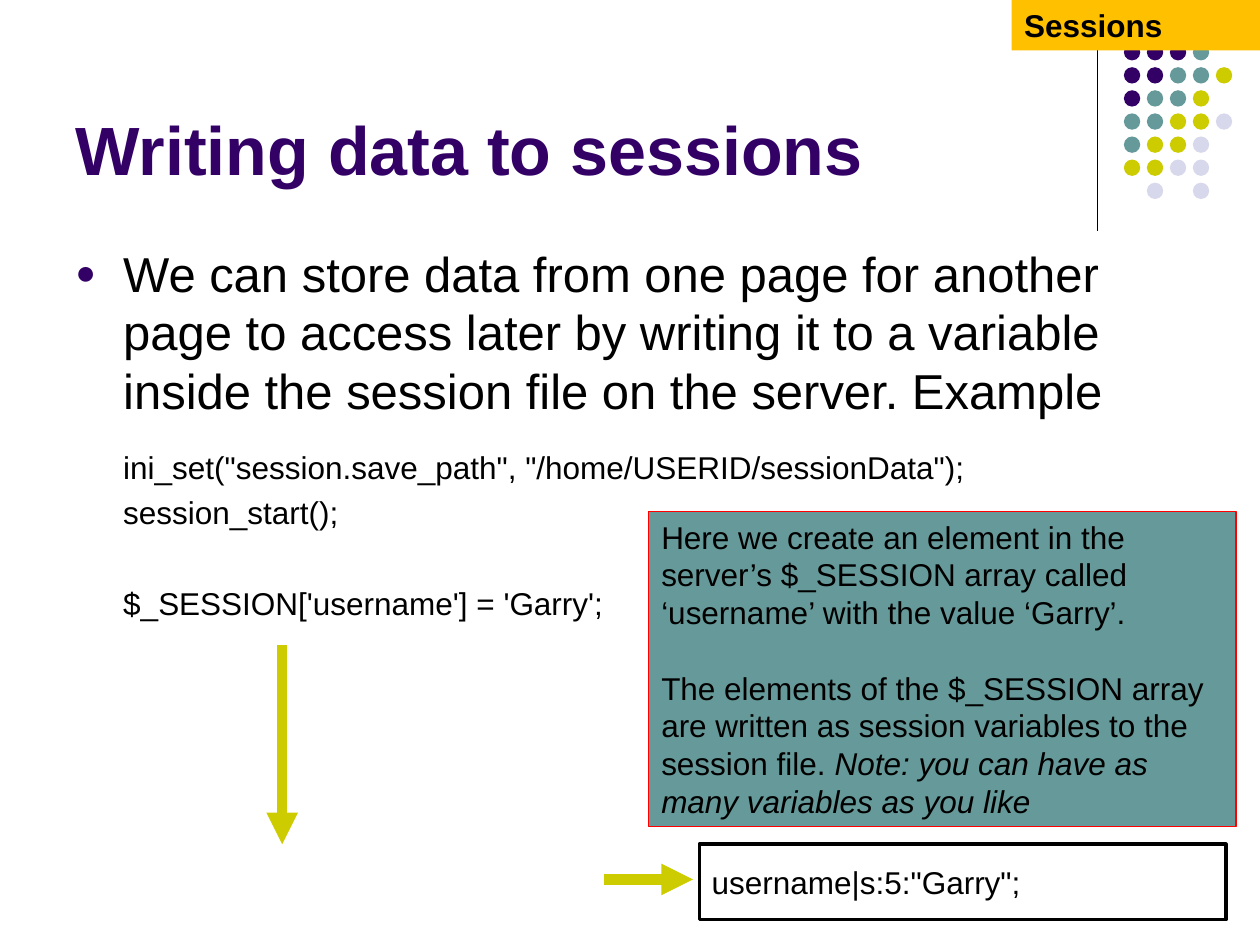
from dataclasses import dataclass
from typing import Optional

from lxml import etree
from pptx import Presentation
from pptx.dml.color import RGBColor
from pptx.enum.shapes import MSO_CONNECTOR, MSO_SHAPE
from pptx.enum.text import MSO_ANCHOR, PP_ALIGN
from pptx.oxml.ns import qn
from pptx.util import Inches, Pt

STRAIGHT = MSO_CONNECTOR.STRAIGHT
RECTANGLE, OVAL = MSO_SHAPE.RECTANGLE, MSO_SHAPE.OVAL
TOP, MIDDLE, BOTTOM = MSO_ANCHOR.TOP, MSO_ANCHOR.MIDDLE, MSO_ANCHOR.BOTTOM
LEFT = PP_ALIGN.LEFT

BLACK = RGBColor(0x00, 0x00, 0x00)
WHITE = RGBColor(0xFF, 0xFF, 0xFF)
PURPLE = RGBColor(0x33, 0x00, 0x66)
TEAL = RGBColor(0x66, 0x99, 0x99)
OLIVE = RGBColor(0xCC, 0xCC, 0x00)
LAVENDER = RGBColor(0xD8, 0xD8, 0xEC)
RED = RGBColor(0xFF, 0x00, 0x00)
AMBER = RGBColor(0xFF, 0xC0, 0x00)

FONT = "Arial"
BODY_INDENT = 0.38

# Dot pattern: one letter per dot, a full stop for a gap
DOT_COLORS = {"P": PURPLE, "T": TEAL, "O": OLIVE, "L": LAVENDER}
DOT_ROWS = ["PPPT.", "PPTTO", "PTTO.", "TTOOL", "TOOL.", "OOLL.", ".L.L."]
DOT_LEFT, DOT_TOP, DOT_SIZE = 8.92, 0.35, 0.13
DOT_COLUMN_PITCH = 0.73 / (len(DOT_ROWS[0]) - 1)
DOT_ROW_PITCH = 1.1 / (len(DOT_ROWS) - 1)


@dataclass
class Run:
    text: str
    italic: bool = False


@dataclass
class Box:
    left: float
    top: float
    width: float
    height: float
    fill: RGBColor
    paragraphs: list[list[Run]]
    line: Optional[RGBColor] = None
    line_width: float = 0.75
    anchor: MSO_ANCHOR = TOP
    bold: bool = False
    gap: float = 0


@dataclass
class Line:
    start: tuple[float, float]
    end: tuple[float, float]
    color: RGBColor
    width: float
    arrow: bool = False


@dataclass
class BodyLine:
    text: str
    size: float
    space_before: float
    bullet: bool = False


RULE = Line((8.71, 0.17), (8.71, 1.83), BLACK, 0.75)
ARROWS = [
    Line((2.24, 5.12), (2.24, 6.7), OLIVE, 6, arrow=True),
    Line((4.79, 6.98), (5.5, 6.98), OLIVE, 6, arrow=True),
]
BODY = [
    BodyLine("We can store data from one page for another page to access later by "
             "writing it to a variable inside the session file on the server. Example",
             28, 7, bullet=True),
    BodyLine('ini_set("session.save_path", "/home/USERID/sessionData");', 18, 16),
    BodyLine("session_start();", 18, 4.5),
    BodyLine("$_SESSION['username'] = 'Garry';", 18, 30.5),
]
SESSION_FILE = Box(5.55, 6.7, 4.18, 0.6, WHITE, [[Run('username|s:5:"Garry";')]],
                   line=BLACK, line_width=2, anchor=MIDDLE)
EXPLANATION = Box(
    5.15, 4.06, 4.66, 2.5, TEAL,
    [[Run("Here we create an element in the server’s $_SESSION array called "
          "‘username’ with the value ‘Garry’.")],
     [Run("The elements of the $_SESSION array are written as session variables "
          "to the session file. "),
      Run("Note: you can have as many variables as you like", italic=True)]],
    line=RED, gap=21.5)
TOPIC_TAG = Box(8.03, 0, 1.97, 0.4, AMBER, [[Run("Sessions")]], bold=True)


def format_paragraph(paragraph, size: float, color: RGBColor = BLACK,
                     bold: bool = False, space_before: float = 0) -> None:
    paragraph.alignment = LEFT
    paragraph.space_before = Pt(space_before)
    font = paragraph.font
    font.name, font.size, font.bold = FONT, Pt(size), bold
    font.color.rgb = color


def add_line(slide, line: Line) -> None:
    points = [Inches(value) for value in line.start + line.end]
    connector = slide.shapes.add_connector(STRAIGHT, *points)
    connector.line.color.rgb = line.color
    connector.line.width = Pt(line.width)
    if line.arrow:
        etree.SubElement(connector.line._get_or_add_ln(), qn("a:tailEnd"), type="triangle")
    etree.SubElement(connector._element.spPr, qn("a:effectLst"))


def add_dots(slide) -> None:
    for row, letters in enumerate(DOT_ROWS):
        for column, letter in enumerate(letters):
            if letter not in DOT_COLORS:
                continue
            dot = slide.shapes.add_shape(
                OVAL, Inches(DOT_LEFT + column * DOT_COLUMN_PITCH),
                Inches(DOT_TOP + row * DOT_ROW_PITCH), Inches(DOT_SIZE), Inches(DOT_SIZE))
            dot.shadow.inherit = False
            dot.fill.solid()
            dot.fill.fore_color.rgb = DOT_COLORS[letter]
            dot.line.fill.background()


def add_box(slide, box: Box) -> None:
    shape = slide.shapes.add_shape(RECTANGLE, Inches(box.left), Inches(box.top),
                                   Inches(box.width), Inches(box.height))
    shape.shadow.inherit = False
    shape.fill.solid()
    shape.fill.fore_color.rgb = box.fill
    if box.line is None:
        shape.line.fill.background()
    else:
        shape.line.color.rgb = box.line
        shape.line.width = Pt(box.line_width)
    frame = shape.text_frame
    frame.word_wrap = True
    frame.vertical_anchor = box.anchor
    for index, runs in enumerate(box.paragraphs):
        paragraph = frame.add_paragraph() if index else frame.paragraphs[0]
        format_paragraph(paragraph, 18, bold=box.bold, space_before=box.gap if index else 0)
        for part in runs:
            run = paragraph.add_run()
            run.text = part.text
            if part.italic:
                run.font.italic = True


def set_title(slide, text: str) -> None:
    title = slide.shapes.title
    title.left, title.top = Inches(0.5), Inches(0.13)
    title.width, title.height = Inches(8.25), Inches(1.42)
    title.text_frame.text = text
    title.text_frame.vertical_anchor = BOTTOM
    format_paragraph(title.text_frame.paragraphs[0], 39, PURPLE, bold=True)


def add_bullet(properties) -> None:
    color = etree.SubElement(properties, qn("a:buClr"))
    etree.SubElement(color, qn("a:srgbClr"), val=str(PURPLE))
    etree.SubElement(properties, qn("a:buSzPct"), val="70000")
    etree.SubElement(properties, qn("a:buFont"), typeface=FONT)
    etree.SubElement(properties, qn("a:buChar"), char="●")


def add_body(slide, lines: list[BodyLine]) -> None:
    frame = slide.shapes.add_textbox(Inches(0.5), Inches(1.88), Inches(9),
                                     Inches(4.82)).text_frame
    frame.word_wrap = True
    for index, line in enumerate(lines):
        paragraph = frame.add_paragraph() if index else frame.paragraphs[0]
        paragraph.text = line.text
        properties = paragraph._p.get_or_add_pPr()
        properties.set("marL", str(Inches(BODY_INDENT)))
        properties.set("indent", str(-Inches(BODY_INDENT) if line.bullet else 0))
        if line.bullet:
            add_bullet(properties)
        format_paragraph(paragraph, line.size, space_before=line.space_before)


def main() -> None:
    presentation = Presentation()
    presentation.slide_width, presentation.slide_height = Inches(10), Inches(7.5)
    slide = presentation.slides.add_slide(presentation.slide_layouts[5])

    # Corner decoration
    add_line(slide, RULE)
    add_dots(slide)

    # Title and body
    set_title(slide, "Writing data to sessions")
    add_body(slide, BODY)

    # Session file, arrows, explanation and topic tag
    add_box(slide, SESSION_FILE)
    for arrow in ARROWS:
        add_line(slide, arrow)
    add_box(slide, EXPLANATION)
    add_box(slide, TOPIC_TAG)

    presentation.save("out.pptx")


if __name__ == "__main__":
    main()
